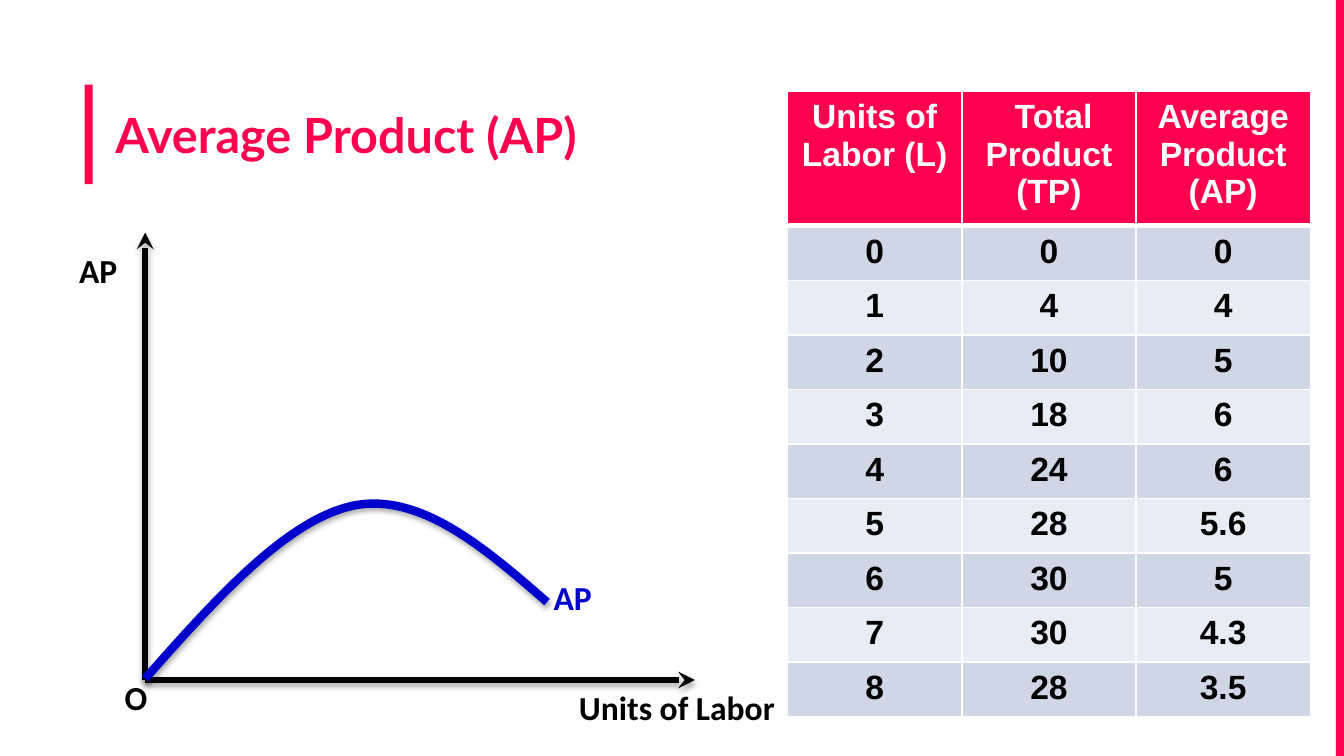
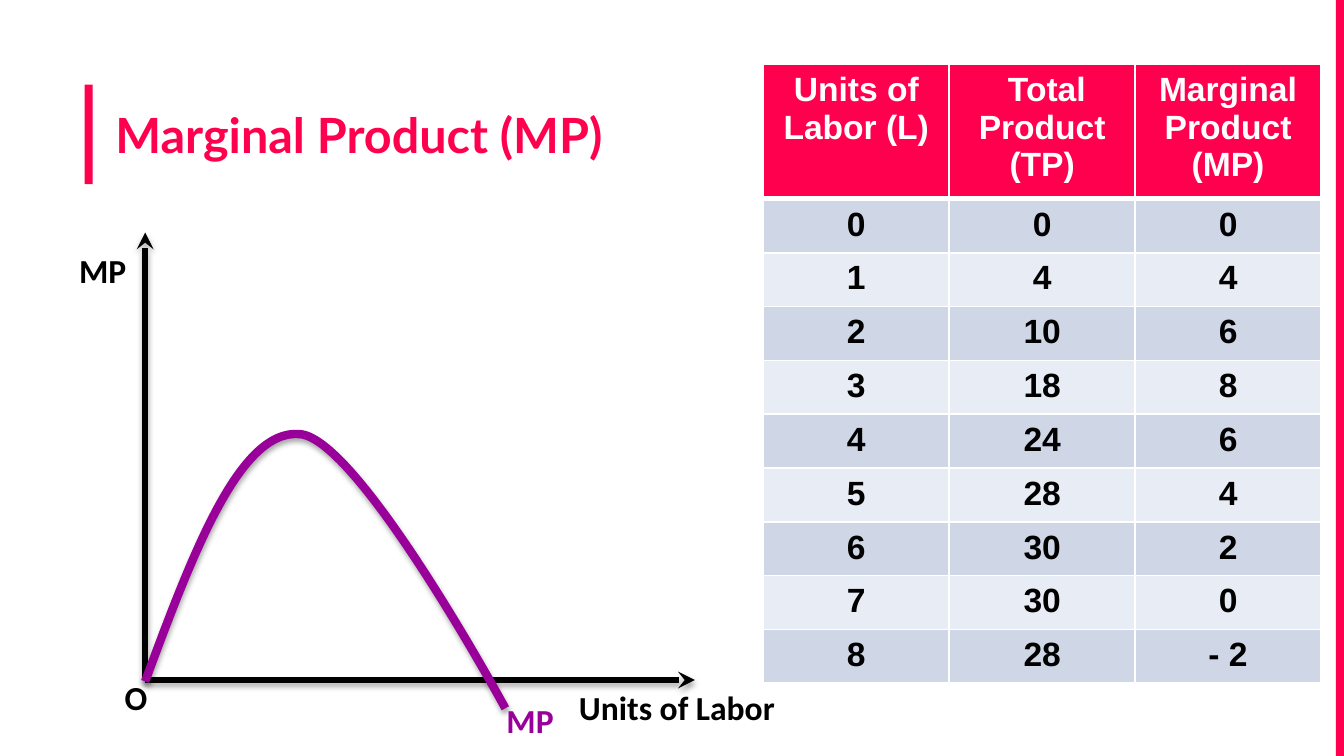
"""Build the average product and marginal product slides."""
from dataclasses import dataclass
from itertools import pairwise

from lxml.etree import SubElement
from pptx import Presentation
from pptx.dml.color import RGBColor
from pptx.enum.shapes import MSO_CONNECTOR, MSO_SHAPE
from pptx.enum.text import MSO_ANCHOR, PP_ALIGN
from pptx.oxml import parse_xml
from pptx.oxml.ns import nsdecls, qn
from pptx.util import Inches, Pt


@dataclass(frozen=True)
class Theme:
    width: float = 10
    height: float = 10 * 9 / 16
    accent: str = "FF004E"
    ink: str = "000000"
    paper: str = "FFFFFF"
    bands: tuple = ("CFD7E7", "E8ECF4")
    average: str = "0000CC"
    marginal: str = "990099"
    title_font: str = "Lato"
    label_font: str = "Calibri"
    table_font: str = "Arial"
    title_size: int = 26
    body_size: int = 18
    axis_width: float = 3
    curve_width: float = 4.5


def apply(target, formats):
    for name, value in formats.items():
        setattr(target, name, value)


def inches(*lengths):
    return [Inches(length) for length in lengths]


class Deck:
    def __init__(self, theme):
        self.theme = theme
        self.prs = Presentation()
        apply(self.prs, {"slide_width": Inches(theme.width),
                         "slide_height": Inches(theme.height)})
        self.slide = None

    def new_slide(self, title):
        theme = self.theme
        self.slide = self.prs.slides.add_slide(self.prs.slide_layouts[6])
        self.bar(0.63, 0.63, 0.06, 0.74)
        self.bar(9.94, 0, 0.06, theme.height)
        self.text(title, (0.76, 0.68, 9.08, 0.72), theme.accent, theme.title_font,
                  theme.title_size, margin=0.1)

    def bar(self, *box):
        bar = self.slide.shapes.add_shape(MSO_SHAPE.RECTANGLE, *inches(*box))
        bar.shadow.inherit = False
        bar.fill.solid()
        bar.fill.fore_color.rgb = RGBColor.from_string(self.theme.accent)
        bar.line.fill.background()

    def style_text(self, paragraph, color, font, size):
        run_font = paragraph.runs[0].font
        apply(run_font, {"name": font, "size": Pt(size), "bold": True})
        run_font.color.rgb = RGBColor.from_string(color)

    def text(self, content, box, color, font, size, margin=0.05):
        frame = self.slide.shapes.add_textbox(*inches(*box)).text_frame
        apply(frame, {
            "word_wrap": True,
            "vertical_anchor": MSO_ANCHOR.TOP,
            "margin_top": Inches(margin),
            "margin_bottom": Inches(margin),
            "text": content,
        })
        self.style_text(frame.paragraphs[0], color, font, size)

    def label(self, content, left, top, width, color=None):
        theme = self.theme
        self.text(content, (left, top, width, 0.4), color or theme.ink,
                  theme.label_font, theme.body_size)

    def stroke(self, outline, color, width):
        outline.line.color.rgb = RGBColor.from_string(color)
        outline.line.width = Pt(width)
        outline._element.spPr.append(parse_xml(
            f'<a:effectLst {nsdecls("a")}><a:outerShdw blurRad="{Pt(3.1)}" dist="{Pt(1.8)}" '
            f'dir="5400000" rotWithShape="0"><a:srgbClr val="{self.theme.ink}">'
            '<a:alpha val="35000"/></a:srgbClr></a:outerShdw></a:effectLst>'))

    def axis(self, *ends):
        axis = self.slide.shapes.add_connector(MSO_CONNECTOR.STRAIGHT, *inches(*ends))
        self.stroke(axis, self.theme.ink, self.theme.axis_width)
        SubElement(axis.line._get_or_add_ln(), qn("a:tailEnd"), type="stealth")

    def axes(self, measure, measure_width):
        self.axis(1.08, 5.06, 1.08, 1.73)
        self.axis(1.08, 5.06, 5.17, 5.06)
        self.label("Units of Labor", 4.21, 5.06, 1.67)
        self.label(measure, 0.49, 1.81, measure_width)
        self.label("O", 0.83, 4.99, 0.37)

    def curve(self, start, controls, color):
        builder = self.slide.shapes.build_freeform(*inches(*start))
        builder.add_line_segments([inches(*point) for point in controls], close=False)
        curve = builder.convert_to_shape()
        curve.fill.background()
        self.stroke(curve, color, self.theme.curve_width)
        segments = curve._element.xpath(".//a:lnTo")
        outline = segments[0].getparent()
        for first, last in pairwise(range(0, len(segments) + 1, 3)):
            bezier = SubElement(outline, qn("a:cubicBezTo"))
            for segment in segments[first:last]:
                bezier.append(segment[0])
                outline.remove(segment)

    def cell(self, cell, content, fill, color, bottom):
        properties = cell._tc.get_or_add_tcPr()
        for side, width in {"L": 1, "R": 1, "T": 1, "B": bottom}.items():
            properties.append(parse_xml(
                f'<a:ln{side} {nsdecls("a")} w="{Pt(width)}"><a:solidFill>'
                f'<a:srgbClr val="{self.theme.paper}"/></a:solidFill></a:ln{side}>'))
        cell.fill.solid()
        cell.fill.fore_color.rgb = RGBColor.from_string(fill)
        cell.text = content
        paragraph = cell.text_frame.paragraphs[0]
        paragraph.alignment = PP_ALIGN.CENTER
        self.style_text(paragraph, color, self.theme.table_font, self.theme.body_size)

    def schedule(self, heading, values, left, top, width, height):
        theme = self.theme
        rows = [("Units of Labor (L)", " Total Product (TP)", heading)]
        rows += zip(map(str, range(9)), TOTAL_PRODUCT, values)
        table = self.slide.shapes.add_table(
            len(rows), 3, *inches(left, top, width, height)).table
        for column in table.columns:
            column.width = Inches(width / 3)
        for index, row in enumerate(rows):
            table.rows[index].height = Inches((height - 1) / 9 if index else 1)
            fill = theme.bands[(index - 1) % 2] if index else theme.accent
            color = theme.ink if index else theme.paper
            for column, content in enumerate(row):
                self.cell(table.cell(index, column), content, fill, color,
                          bottom=1 if index else 3)


TOTAL_PRODUCT = "0 4 10 18 24 28 30 30 28".split()
AVERAGE_PRODUCT = "0 4 5 6 6 5.6 5 4.3 3.5".split()
MARGINAL_PRODUCT = ["0", "4", "6", "8", "6", "4", "2", "0", "- 2"]


def main():
    theme = Theme()
    deck = Deck(theme)

    deck.new_slide("Average Product (AP)")
    deck.axes("AP", 0.55)
    deck.schedule("Average Product (AP)", AVERAGE_PRODUCT, 5.86, 0.68, 3.89, 4.65)
    deck.curve((1.08, 5.05), [(1.61, 4.45), (2.14, 3.86), (2.64, 3.76),
                              (3.13, 3.67), (3.6, 4.07), (4.07, 4.48)], theme.average)
    deck.label("AP", 4.02, 4.24, 0.49, theme.average)

    deck.new_slide("Marginal Product (MP)")
    deck.axes("MP", 0.79)
    deck.curve((1.08, 5.07), [(1.43, 4.13), (1.78, 3.19), (2.23, 3.23),
                              (2.67, 3.26), (3.76, 5.27), (3.76, 5.27)], theme.marginal)
    deck.label("MP", 3.67, 5.16, 0.56, theme.marginal)
    deck.schedule("Marginal Product (MP)", MARGINAL_PRODUCT, 5.68, 0.48, 4.15, 4.6)

    deck.prs.save("out.pptx")


if __name__ == "__main__":
    main()
